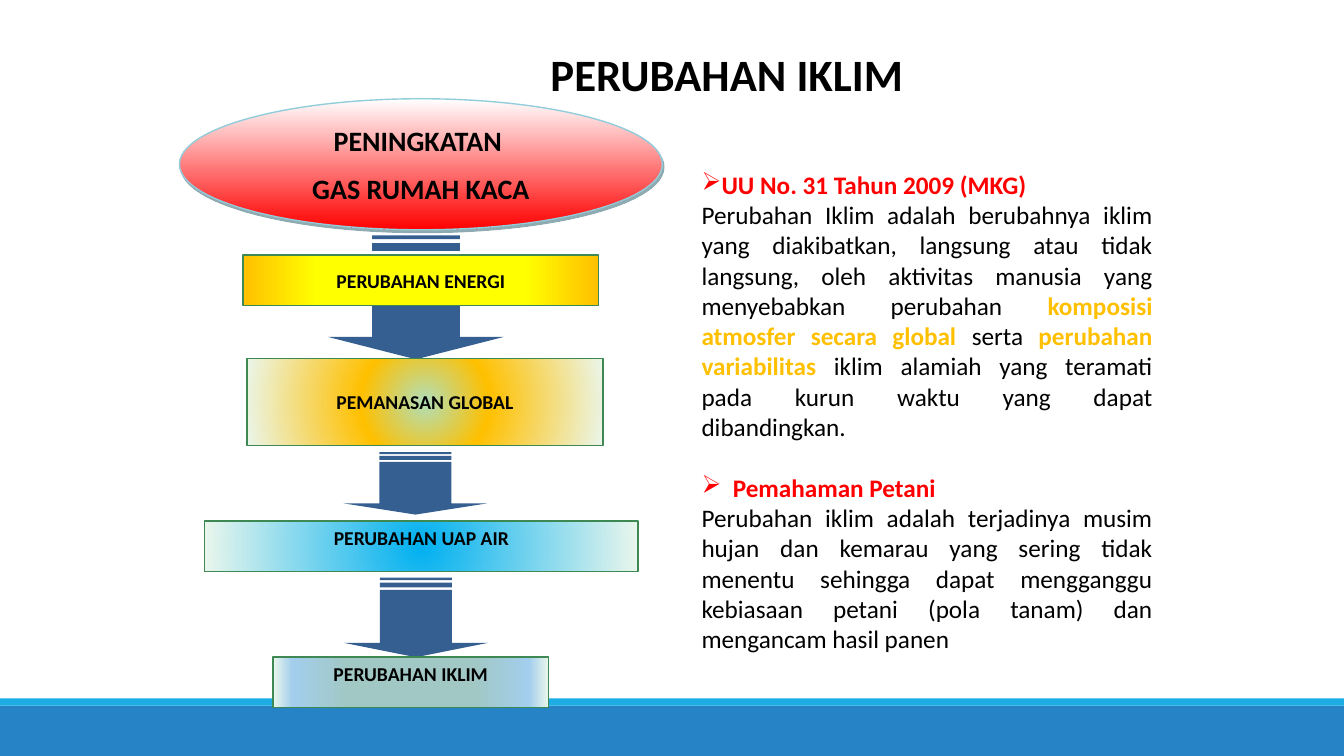
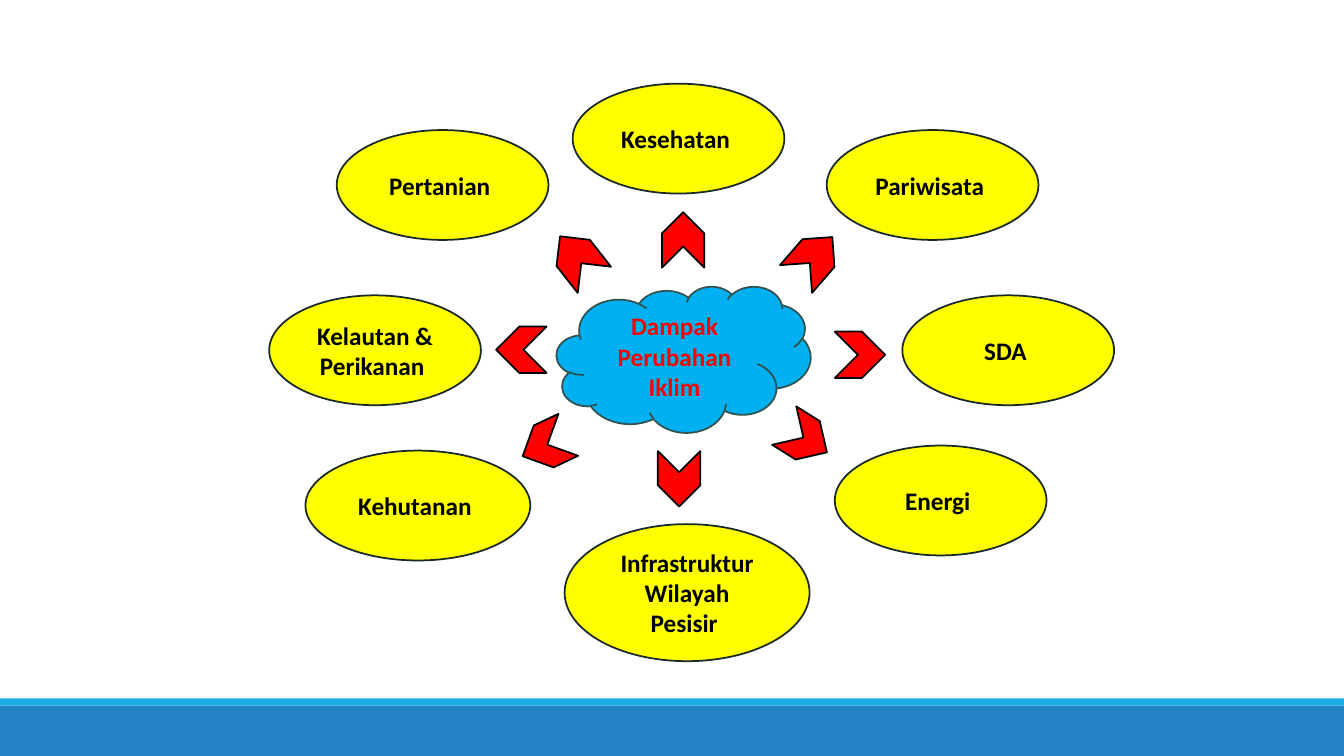
from lxml.etree import SubElement
from pptx import Presentation
from pptx.dml.color import RGBColor
from pptx.enum.shapes import MSO_SHAPE
from pptx.enum.text import MSO_ANCHOR, PP_ALIGN
from pptx.oxml.ns import qn
from pptx.util import Pt

PX = 9144
FONT = "Calibri"
BLACK = RGBColor(0x00, 0x00, 0x00)
WHITE = RGBColor(0xFF, 0xFF, 0xFF)
RED = RGBColor(0xFF, 0x00, 0x00)
YELLOW = RGBColor(0xFF, 0xFF, 0x00)
AMBER = RGBColor(0xFF, 0xC0, 0x00)
SKY = RGBColor(0x00, 0xB0, 0xF0)
MINT = RGBColor(0xEA, 0xF6, 0xEC)
LEAF = RGBColor(0xB1, 0xDE, 0xBA)
SAGE = RGBColor(0xA1, 0xC8, 0xC5)
PALE_BLUE = RGBColor(0xA3, 0xCE, 0xED)
GREEN = RGBColor(0x3E, 0x88, 0x53)
AQUA = RGBColor(0x92, 0xCD, 0xDC)
TEAL = RGBColor(0x20, 0x58, 0x67)
STEEL = RGBColor(0x36, 0x5F, 0x91)
SLATE = RGBColor(0x30, 0x52, 0x50)
DARK = RGBColor(0x18, 0x29, 0x28)
BAND_BLUE = RGBColor(0x26, 0x83, 0xC6)
BAND_CYAN = RGBColor(0x1C, 0xAD, 0xE4)


def add_figure(slide, kind, box, fill=None, line=None, width=1.25):
    figure = slide.shapes.add_shape(kind, *[n * PX for n in box])
    figure.shadow.inherit = False
    if fill is not None:
        figure.fill.solid()
        figure.fill.fore_color.rgb = fill
    if line is None:
        figure.line.fill.background()
    else:
        figure.line.color.rgb = line
        figure.line.width = Pt(width)
    return figure


def write(shape, lines, size, color=BLACK, anchor=MSO_ANCHOR.MIDDLE, after=0):
    frame = shape.text_frame
    frame.word_wrap = True
    frame.vertical_anchor = anchor
    frame.text = "\n".join(lines)
    for paragraph in frame.paragraphs:
        paragraph.alignment = PP_ALIGN.CENTER
        paragraph.space_after = Pt(after)
        paragraph.font.name = FONT
        paragraph.font.size = Pt(size)
        paragraph.font.bold = True
        paragraph.font.color.rgb = color


prs = Presentation()
prs.slide_width = 1333 * PX
prs.slide_height = 750 * PX
blank = prs.slide_layouts[6]
causes = prs.slides.add_slide(blank)
impacts = prs.slides.add_slide(blank)

for top, height, color in ((700, 50, BAND_BLUE), (693, 7, BAND_CYAN)):
    band = add_figure(causes, MSO_SHAPE.RECTANGLE, (0, top, 1333, height), color)
    blank.shapes._spTree.append(band._element)

for left, top, length, breadth in (
    (351, 208, 123, 174),
    (381, 408, 62, 143),
    (373, 541, 79, 143),
):
    arrow = add_figure(causes, MSO_SHAPE.STRIPED_RIGHT_ARROW,
                       (left, top, length, breadth), STEEL)
    arrow.rotation = 90
    arrow.adjustments[0] = 0.5
    arrow.adjustments[1] = 0.18

steps = [
    (["PERUBAHAN ENERGI"], (241, 253, 353, 50), MSO_ANCHOR.MIDDLE, False,
     [(0, AMBER), (21, YELLOW), (79, YELLOW), (100, AMBER)]),
    (["PEMANASAN GLOBAL"], (245, 356, 353, 86), MSO_ANCHOR.MIDDLE, True,
     [(0, LEAF), (35, AMBER), (100, MINT)]),
    (["PERUBAHAN UAP AIR"], (203, 517, 430, 50), MSO_ANCHOR.TOP, True,
     [(0, SKY), (100, MINT)]),
    (["PERUBAHAN IKLIM"], (271, 652, 273, 50), MSO_ANCHOR.TOP, False,
     [(0, MINT), (7, PALE_BLUE), (27, SAGE), (73, SAGE), (93, PALE_BLUE), (100, MINT)]),
    (["PENINGKATAN ", "GAS RUMAH KACA"], (178, 98, 479, 130), MSO_ANCHOR.MIDDLE, False,
     [(0, WHITE), (100, RED)]),
]
for lines, box, anchor, radial, stops in steps:
    is_source = len(lines) > 1
    step = add_figure(causes, MSO_SHAPE.OVAL if is_source else MSO_SHAPE.RECTANGLE,
                      box, line=AQUA if is_source else GREEN, width=1)
    write(step, lines, 20 if is_source else 14, anchor=anchor, after=10)
    step.fill.gradient()
    properties = step._element.spPr
    gradient = properties.find(qn("a:gradFill"))
    gradient.clear()
    stop_list = SubElement(gradient, qn("a:gsLst"))
    for position, color in stops:
        stop = SubElement(stop_list, qn("a:gs"), pos=str(position * 1000))
        SubElement(stop, qn("a:srgbClr"), val=str(color))
    if radial:
        spread = SubElement(gradient, qn("a:path"), path="circle")
        SubElement(spread, qn("a:fillToRect"), l="50000", t="50000", r="50000", b="50000")
    else:
        SubElement(gradient, qn("a:lin"), ang="5400000" if is_source else "0", scaled="0")
    if is_source:
        frame = step.text_frame
        frame.margin_left = frame.margin_top = frame.margin_right = frame.margin_bottom = 0
        shadow = SubElement(properties.find(qn("a:effectLst")), qn("a:outerShdw"),
                            dist=str(Pt(2.2)), dir=str(63 * 60000), rotWithShape="0")
        tint = SubElement(shadow, qn("a:srgbClr"), val=str(TEAL))
        SubElement(tint, qn("a:alpha"), val="50000")

definitions = causes.shapes.add_textbox(*[n * PX for n in (686, 163, 467, 495)]).text_frame
definitions.word_wrap = True
passages = [
    (0, 0, [("UU No. 31 Tahun 2009 (MKG)", RED)]),
    (None, 0, [
        ("Perubahan Iklim adalah berubahnya iklim yang diakibatkan, langsung atau tidak "
         "langsung, oleh aktivitas manusia yang menyebabkan perubahan ", BLACK),
        ("komposisi atmosfer secara global ", AMBER),
        ("serta ", BLACK),
        ("perubahan variabilitas ", AMBER),
        ("iklim alamiah yang teramati pada kurun waktu yang dapat dibandingkan.", BLACK),
    ]),
    (31, 22, [("Pemahaman Petani", RED)]),
    (None, 0, [
        ("Perubahan iklim adalah terjadinya musim hujan dan kemarau yang sering tidak "
         "menentu sehingga dapat mengganggu kebiasaan petani (pola tanam) dan "
         "mengancam hasil panen", BLACK),
    ]),
]
for number, (indent, before, pieces) in enumerate(passages):
    passage = definitions.add_paragraph() if number else definitions.paragraphs[0]
    if indent is not None:
        settings = passage._p.get_or_add_pPr()
        settings.set("marL", str(indent * PX))
        settings.set("indent", str(-indent * PX))
        SubElement(settings, qn("a:buChar"), char="➢")
    passage.alignment = PP_ALIGN.JUSTIFY
    if before:
        passage.space_before = Pt(before)
    passage.font.name = FONT
    passage.font.size = Pt(18)
    for text, color in pieces:
        run = passage.add_run()
        run.text = text
        run.font.bold = color != BLACK
        run.font.color.rgb = color

title = causes.shapes.add_textbox(*[n * PX for n in (317, 25, 808, 97)])
write(title, ["PERUBAHAN IKLIM"], 32)

core = add_figure(impacts, MSO_SHAPE.CLOUD, (552, 284, 252, 145), SKY, SLATE)
write(core, ["Dampak Perubahan Iklim"], 18, RED)

for sector, box in (
    ("Pertanian ", (334, 129, 210, 109)),
    ("Infrastruktur Wilayah Pesisir ", (560, 520, 243, 136)),
    ("Kelautan & Perikanan ", (267, 293, 210, 109)),
    ("Energi ", (828, 442, 210, 109)),
    ("Kehutanan ", (303, 447, 223, 109)),
    ("Kesehatan ", (568, 83, 210, 109)),
    ("SDA ", (895, 293, 210, 109)),
    ("Pariwisata ", (820, 129, 210, 109)),
):
    write(add_figure(impacts, MSO_SHAPE.OVAL, box, YELLOW, DARK), [sector], 18)

for angle, box in (
    (270, (650, 217, 55, 42)),
    (231.8, (545, 235, 55, 42)),
    (180, (492, 324, 50, 46)),
    (154.8, (516, 419, 50, 46)),
    (310.9, (780, 235, 55, 42)),
    (0, (828, 329, 50, 46)),
    (32.1, (774, 413, 50, 45)),
    (90, (646, 454, 55, 42)),
):
    pointer = add_figure(impacts, MSO_SHAPE.CHEVRON, box, RED, BLACK)
    pointer.rotation = angle

prs.save("out.pptx")
